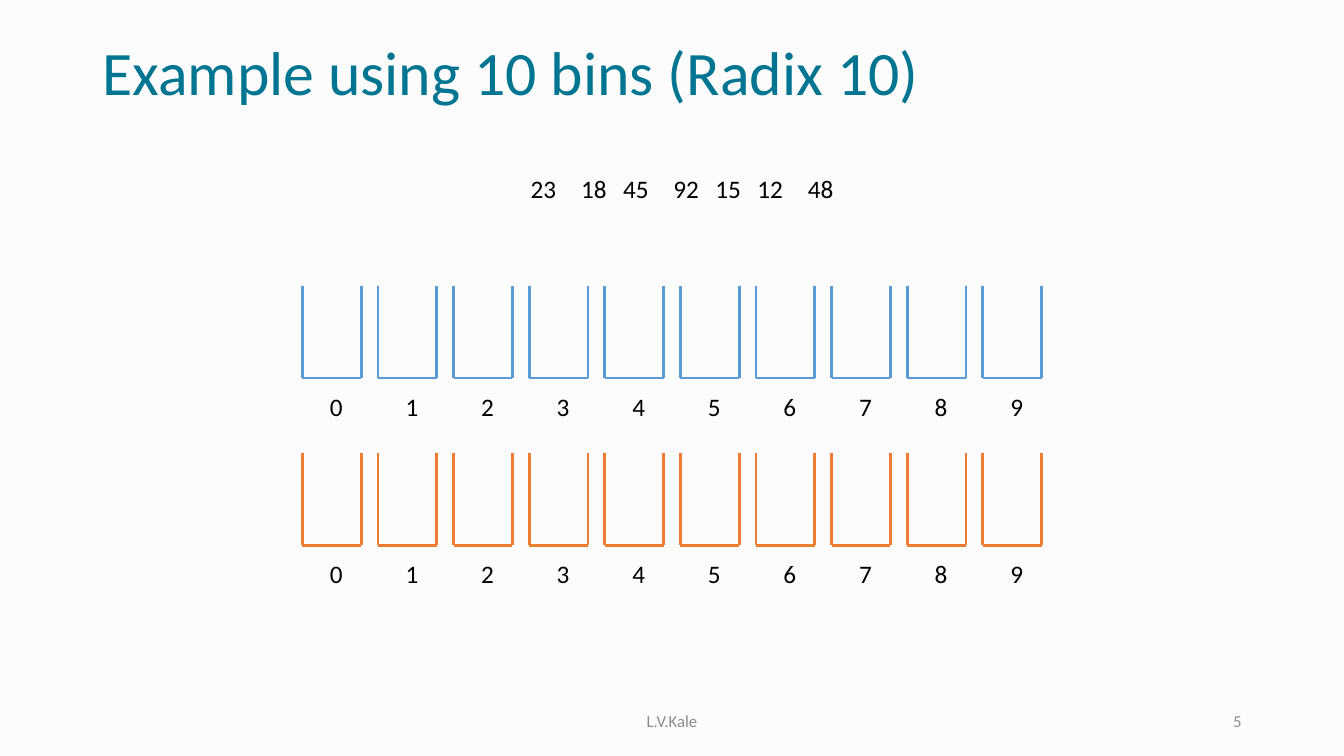
from pptx import Presentation
from pptx.dml.color import RGBColor
from pptx.enum.shapes import MSO_CONNECTOR
from pptx.enum.text import MSO_ANCHOR, MSO_AUTO_SIZE, PP_ALIGN
from pptx.oxml.ns import qn
from pptx.util import Inches, Pt
from lxml.etree import SubElement

COLORS = {
    "back": "FCFCFC",
    "title": "007592",
    "text": "000000",
    "footer": "8C8C8C",
    "ones": "5B9BD5",
    "tens": "ED7D31",
}
COLS, ROWS = 160, 90
CELL = 1 / 12


def cells(n):
    return Inches(n * CELL)


def color(name):
    return RGBColor.from_string(COLORS[name])


class BinSlide:
    font = "Calibri"
    line_width = Pt(2)

    def __init__(self, prs):
        self.s = prs.slides.add_slide(prs.slide_layouts[6])
        fill = self.s.background.fill
        fill.solid()
        fill.fore_color.rgb = color("back")

    def text(self, text, col, row, width, height, size=18, ink="text",
             align=PP_ALIGN.LEFT, anchor=MSO_ANCHOR.TOP, wrap=True, grow=False):
        sp = self.s.shapes.add_textbox(*map(cells, (col, row, width, height)))
        tf = sp.text_frame
        tf.word_wrap = wrap
        tf.auto_size = MSO_AUTO_SIZE.SHAPE_TO_FIT_TEXT if grow else MSO_AUTO_SIZE.NONE
        tf.vertical_anchor = anchor
        tf.text = text
        p = tf.paragraphs[0]
        p.alignment = align
        r = p.runs[0]
        r.font.name = self.font
        r.font.size = Pt(size)
        r.font.color.rgb = color(ink)
        return p

    def title(self, text):
        p = self.text(text, 11, 3.36, 138, 11.2, 44.1, "title", anchor=MSO_ANCHOR.MIDDLE)
        p.line_spacing = 0.9

    def footer(self, text, col, width, align):
        self.text(text, col, 83.4, width, 4.8, 12, "footer", align, MSO_ANCHOR.MIDDLE)

    def number(self, value, col, row):
        self.text(str(value), col, row, 5.5, 4.8, wrap=False, grow=True)

    def line(self, x1, y1, x2, y2, ink):
        c = self.s.shapes.add_connector(
            MSO_CONNECTOR.STRAIGHT, *map(cells, (x1, y1, x2, y2)))
        c.line.color.rgb = color(ink)
        c.line.width = self.line_width
        SubElement(c._element.spPr, qn("a:effectLst"))

    def bin(self, digit, col, row, ink):
        right, bottom = col + 7, row + 11
        self.line(col, row, col, bottom, ink)
        self.line(right, row, right, bottom, ink)
        self.line(col, bottom, right, bottom, ink)
        self.text(str(digit), col + 2.1, bottom + 1, 2.9, 4.8, grow=True)

    def bin_row(self, row, ink):
        for digit in range(10):
            self.bin(digit, 36 + 9 * digit, row, ink)


def main():
    prs = Presentation()
    prs.slide_width, prs.slide_height = cells(COLS), cells(ROWS)
    slide = BinSlide(prs)
    slide.title("Example using 10 bins (Radix 10)")
    for value, col in zip((23, 18, 45, 92, 15, 12, 48), (62, 68, 73, 79, 84, 89, 95)):
        slide.number(value, col, 20)
    slide.bin_row(34, "ones")
    slide.bin_row(53.9, "tens")
    slide.footer("L.V.Kale", 53, 54, PP_ALIGN.CENTER)
    slide.footer("5", 113, 36, PP_ALIGN.RIGHT)
    prs.save("out.pptx")


if __name__ == "__main__":
    main()
